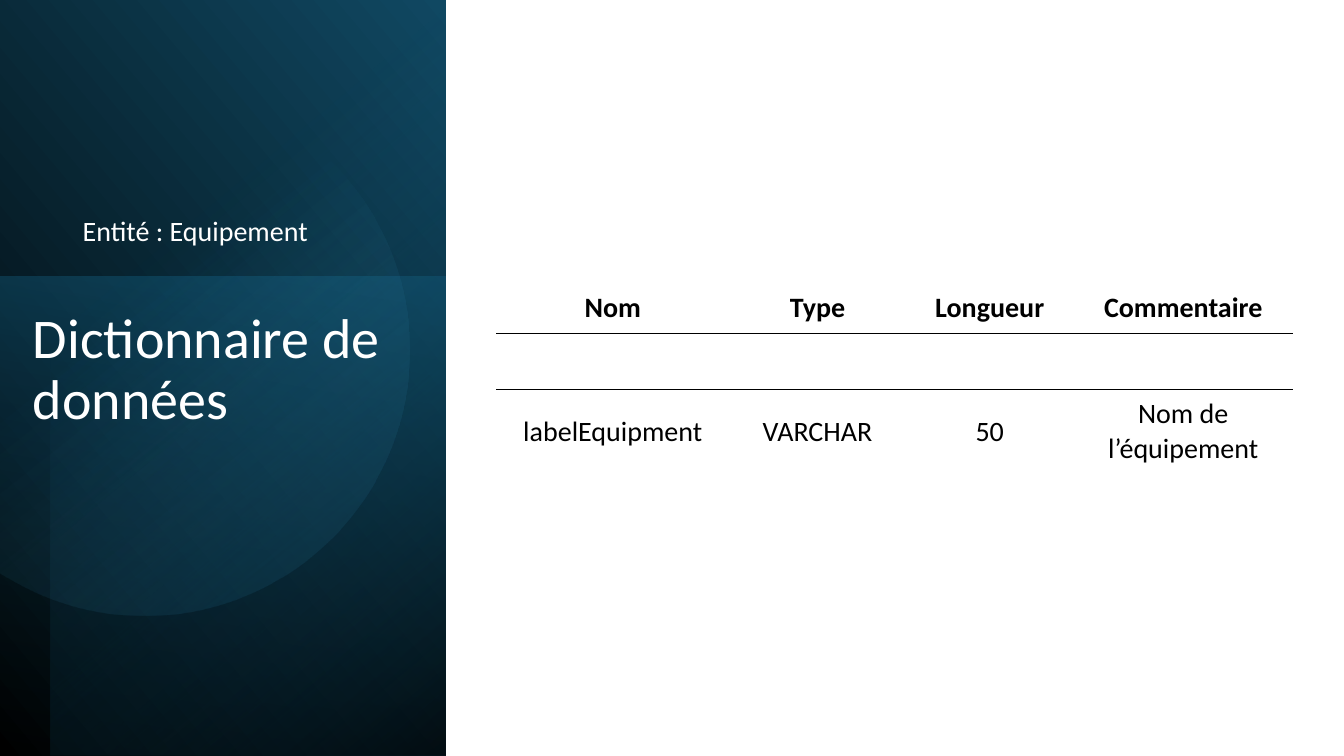
import math

from lxml import etree
from pptx import Presentation
from pptx.dml.color import RGBColor
from pptx.enum.shapes import MSO_SHAPE
from pptx.enum.text import MSO_ANCHOR, PP_ALIGN
from pptx.oxml.ns import qn
from pptx.util import Pt

RECTANGLE = MSO_SHAPE.RECTANGLE
TOP, MIDDLE, BOTTOM = MSO_ANCHOR.TOP, MSO_ANCHOR.MIDDLE, MSO_ANCHOR.BOTTOM
CENTER = PP_ALIGN.CENTER

FONT = "Calibri"
COLORS = {
    "black": "000000",
    "white": "FFFFFF",
    "navy": "104862",
    "teal": "156082",
    "deep": "0B3041",
    "sky": "46B1E1",
}
PLAIN_TABLE_STYLE = "{2D5ABB26-0587-4C30-8999-92F81FD0307C}"


class SlideBuilder:
    def __init__(self, presentation):
        self.slide = presentation.slides.add_slide(presentation.slide_layouts[6])

    def fill_paragraph(self, paragraph, text, size, color, bold=False, **formats):
        for name, value in formats.items():
            setattr(paragraph, name, value)
        run = paragraph.add_run()
        run.text = text
        font_formats = {"name": FONT, "size": Pt(size), "bold": bold}
        for name, value in font_formats.items():
            setattr(run.font, name, value)
        run.font.color.rgb = RGBColor.from_string(COLORS[color])

    def color_element(self, parent, color, opacity=100):
        element = etree.SubElement(parent, qn("a:srgbClr"), val=COLORS[color])
        if opacity < 100:
            etree.SubElement(element, qn("a:alpha"), val=str(opacity * 1000))

    def paint(self, shape, stops, angle):
        shape.shadow.inherit = False
        shape.line.fill.background()
        shape.fill.background()
        empty_fill = shape._element.spPr.find(qn("a:noFill"))
        gradient = etree.Element(qn("a:gradFill"), rotWithShape="1")
        stop_list = etree.SubElement(gradient, qn("a:gsLst"))
        for position, color, opacity in stops:
            stop = etree.SubElement(stop_list, qn("a:gs"), pos=str(position * 1000))
            self.color_element(stop, color, opacity)
        etree.SubElement(
            gradient, qn("a:lin"), ang=str(round(angle * 60000)), scaled="0"
        )
        empty_fill.getparent().replace(empty_fill, gradient)

    def panel(self, box, rotation, flipped, stops, angle):
        shape = self.slide.shapes.add_shape(RECTANGLE, *map(Pt, box))
        shape.rotation = rotation
        if flipped:
            shape._element.spPr.find(qn("a:xfrm")).set("flipH", "1")
        self.paint(shape, stops, angle)

    def cut_disc(self, center_x, center_y, radius, stops, angle):
        limit = math.acos(-center_x / radius)
        steps = 120
        turns = [limit * (2 * step / steps - 1) for step in range(steps + 1)]
        points = [
            (
                Pt(center_x + radius * math.cos(turn)),
                Pt(center_y + radius * math.sin(turn)),
            )
            for turn in turns
        ]
        builder = self.slide.shapes.build_freeform(*points[0])
        builder.add_line_segments(points[1:], close=True)
        self.paint(builder.convert_to_shape(), stops, angle)

    def text(self, box, text, size, anchor, **formats):
        frame = self.slide.shapes.add_textbox(*map(Pt, box)).text_frame
        frame.word_wrap = True
        frame.vertical_anchor = anchor
        self.fill_paragraph(
            frame.paragraphs[0], text, size, "white", line_spacing=0.9, **formats
        )

    def border(self, cell, tag):
        line = etree.Element(qn(tag), w=str(Pt(1)))
        self.color_element(etree.SubElement(line, qn("a:solidFill")), "black")
        cell._tc.get_or_add_tcPr().insert(0, line)

    def table(self, left, top, widths, heights, rows):
        frame = self.slide.shapes.add_table(
            len(heights), len(widths),
            Pt(left), Pt(top), Pt(sum(widths)), Pt(sum(heights)),
        )
        table = frame.table
        table._tbl.tblPr.find(qn("a:tableStyleId")).text = PLAIN_TABLE_STYLE
        table.horz_banding = False
        for column, width in zip(table.columns, widths):
            column.width = Pt(width)
        for row, height in zip(table.rows, heights):
            row.height = Pt(height)
        cell_formats = {
            "vertical_anchor": MIDDLE,
            "margin_left": Pt(8),
            "margin_right": Pt(8),
            "margin_top": Pt(4),
            "margin_bottom": Pt(4),
        }
        for row_index, row in enumerate(rows):
            for column_index, text in enumerate(row):
                cell = table.cell(row_index, column_index)
                for name, value in cell_formats.items():
                    setattr(cell, name, value)
                cell.fill.background()
                if row_index < len(rows) - 1:
                    self.border(cell, "a:lnB")
                if row_index > 0:
                    self.border(cell, "a:lnT")
                if text:
                    self.fill_paragraph(
                        cell.text_frame.paragraphs[0], text, 20, "black",
                        bold=row_index == 0, alignment=CENTER,
                    )


def main():
    presentation = Presentation()
    presentation.slide_width = Pt(960)
    presentation.slide_height = Pt(540)
    builder = SlideBuilder(presentation)

    builder.panel(
        (-111.5, 111.5, 541.5, 318.5), 90, True,
        [(0, "black", 100), (100, "navy", 100)], 310,
    )
    builder.panel(
        (-12.25, 209.5, 343, 318.5), 270, False,
        [(0, "teal", 50), (100, "deep", 0)], 190,
    )
    builder.panel(
        (-92.75, 129, 540, 282), 270, True,
        [(0, "black", 59), (69, "teal", 0)], 220,
    )
    builder.cut_disc(103, 250, 189.5, [(39, "sky", 0), (100, "navy", 26)], 51.6)

    builder.text((16.5, 218, 266, 242), "Dictionnaire de données", 40, TOP)
    builder.text(
        (52, 63.5, 230, 117), "Entité : Equipement", 20, BOTTOM, space_before=Pt(10)
    )
    builder.table(
        354.5, 202.5, (166.5, 126, 120, 156.5), (35.5, 40.5, 59.5),
        [
            ("Nom", "Type", "Longueur", "Commentaire"),
            ("", "", "", ""),
            ("labelEquipment", "VARCHAR", "50", "Nom de l’équipement"),
        ],
    )
    presentation.save("out.pptx")


if __name__ == "__main__":
    main()
